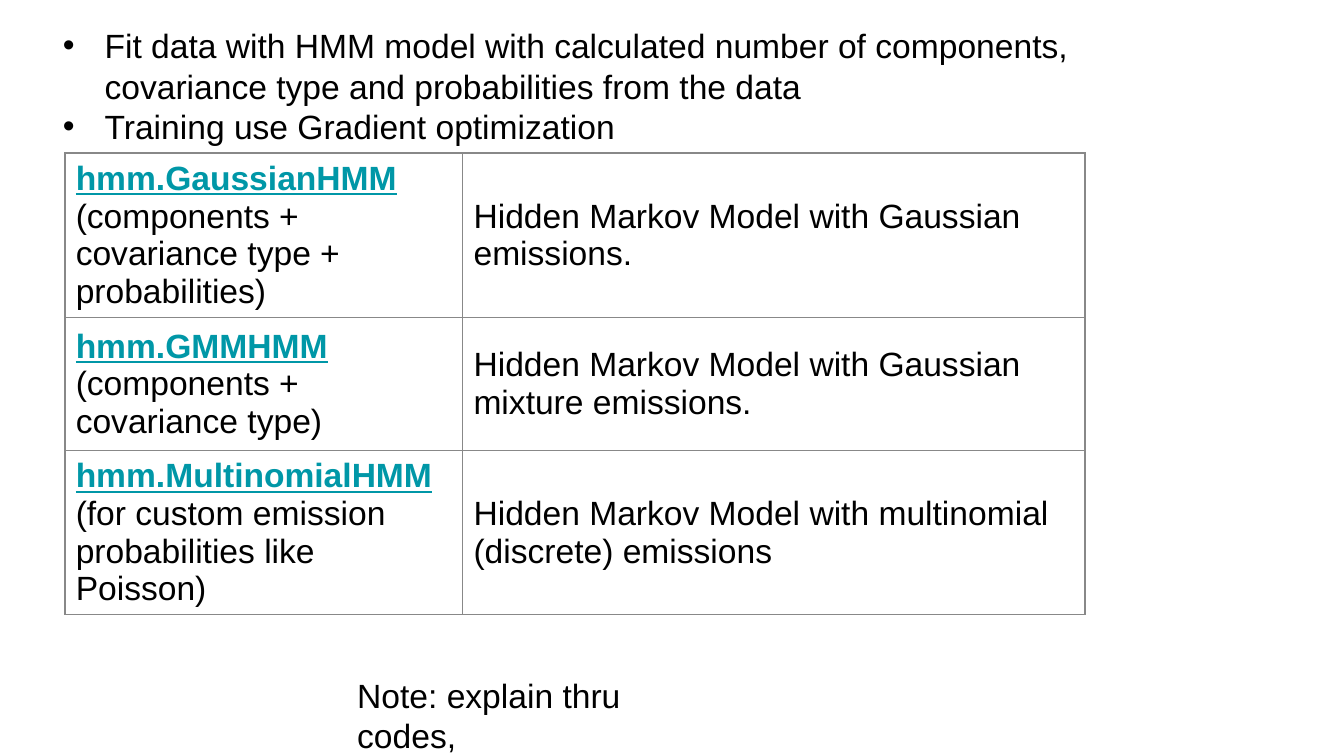
from dataclasses import dataclass

from lxml import etree
from pptx import Presentation
from pptx import util as u
from pptx.dml.color import RGBColor
from pptx.enum import text
from pptx.oxml import ns

BLACK = RGBColor(0x00, 0x00, 0x00)
TEAL = RGBColor(0x00, 0x97, 0xA7)
GRAY = RGBColor(0x88, 0x88, 0x88)

WIDTH = u.Inches(10)
HEIGHT = WIDTH * 9 // 16
COLUMN, ROW = WIDTH / 100, HEIGHT / 100
BODY = {"name": "Arial", "size": u.Pt(18), "bold": False, "underline": False}
MODEL_NAME = BODY | {"bold": True, "underline": True}
CELL_FORMAT = {
    "vertical_anchor": text.MSO_ANCHOR.MIDDLE,
    "margin_left": u.Inches(0.08),
    "margin_right": u.Inches(0.08),
    "margin_top": u.Inches(0.04),
    "margin_bottom": u.Inches(0.04),
}


@dataclass(frozen=True)
class Area:
    column: float
    row: float
    columns: float
    rows: float

    def emu(self) -> tuple[int, int, int, int]:
        return (
            int(self.column * COLUMN),
            int(self.row * ROW),
            int(self.columns * COLUMN),
            int(self.rows * ROW),
        )


@dataclass(frozen=True)
class Passage:
    area: Area
    lines: tuple[str, ...]
    bulleted: bool = False


@dataclass(frozen=True)
class Model:
    name: str
    parameters: str
    summary: str
    rows: float


PASSAGES = (
    Passage(
        Area(3.7, 2.45, 77.1, 17.95),
        (
            "Fit data with HMM model with calculated number of components, "
            "covariance type and probabilities from the data",
            "Training use Gradient optimization",
        ),
        bulleted=True,
    ),
    Passage(Area(25.6, 88.35, 28.6, 7.1), ("Note: explain thru codes,",)),
)
MODELS = (
    Model(
        "hmm.GaussianHMM",
        "(components + covariance type + probabilities)",
        "Hidden Markov Model with Gaussian emissions.",
        21.75,
    ),
    Model(
        "hmm.GMMHMM",
        "(components + covariance type)",
        "Hidden Markov Model with Gaussian mixture emissions.",
        17.6,
    ),
    Model(
        "hmm.MultinomialHMM",
        "(for custom emission probabilities like Poisson)",
        "Hidden Markov Model with multinomial (discrete) emissions",
        21.75,
    ),
)
MODEL_COLUMNS = (29.6, 46.3)
MODEL_AREA = Area(4.84, 20.25, sum(MODEL_COLUMNS), sum(m.rows for m in MODELS))


def apply(target, values: dict) -> None:
    for attribute, value in values.items():
        setattr(target, attribute, value)


def write(paragraph, words: str, style: dict, color: RGBColor) -> None:
    run = paragraph.add_run()
    run.text = words
    apply(run.font, style)
    run.font.color.rgb = color


def add_bullet(paragraph) -> None:
    properties = paragraph._p.get_or_add_pPr()
    properties.set("marL", str(u.Inches(0.31)))
    properties.set("indent", str(u.Inches(-0.31)))
    etree.SubElement(properties, ns.qn("a:buFont"), typeface="Arial")
    etree.SubElement(properties, ns.qn("a:buChar"), char="•")


def paragraphs(frame, count: int) -> list:
    return [frame.paragraphs[0]] + [frame.add_paragraph() for _ in range(count - 1)]


def draw_passage(slide, passage: Passage) -> None:
    frame = slide.shapes.add_textbox(*passage.area.emu()).text_frame
    apply(frame, {"word_wrap": True, "auto_size": text.MSO_AUTO_SIZE.SHAPE_TO_FIT_TEXT})
    for paragraph, line in zip(paragraphs(frame, len(passage.lines)), passage.lines):
        if passage.bulleted:
            add_bullet(paragraph)
        write(paragraph, line, BODY, BLACK)


def outline(cell) -> None:
    properties = cell._tc.get_or_add_tcPr()
    for position, side in enumerate(("lnL", "lnR", "lnT", "lnB")):
        border = etree.Element(ns.qn(f"a:{side}"), w=str(u.Pt(0.75)))
        fill = etree.SubElement(border, ns.qn("a:solidFill"))
        etree.SubElement(fill, ns.qn("a:srgbClr"), val=str(GRAY))
        properties.insert(position, border)


def fill_cell(cell, lines: tuple) -> None:
    apply(cell, CELL_FORMAT)
    cell.fill.background()
    outline(cell)
    for paragraph, line in zip(paragraphs(cell.text_frame, len(lines)), lines):
        write(paragraph, *line)


def draw_models(slide) -> None:
    table = slide.shapes.add_table(
        len(MODELS), len(MODEL_COLUMNS), *MODEL_AREA.emu()
    ).table
    apply(table, {"first_row": False, "horz_banding": False})
    for column, share in zip(table.columns, MODEL_COLUMNS):
        column.width = int(share * COLUMN)
    for index, model in enumerate(MODELS):
        table.rows[index].height = int(model.rows * ROW)
        fill_cell(
            table.cell(index, 0),
            ((model.name, MODEL_NAME, TEAL), (model.parameters, BODY, BLACK)),
        )
        fill_cell(table.cell(index, 1), ((model.summary, BODY, BLACK),))


def main() -> None:
    deck = Presentation()
    apply(deck, {"slide_width": WIDTH, "slide_height": HEIGHT})
    slide = deck.slides.add_slide(deck.slide_layouts[6])
    draw_models(slide)
    for passage in PASSAGES:
        draw_passage(slide, passage)
    deck.save("out.pptx")


if __name__ == "__main__":
    main()
